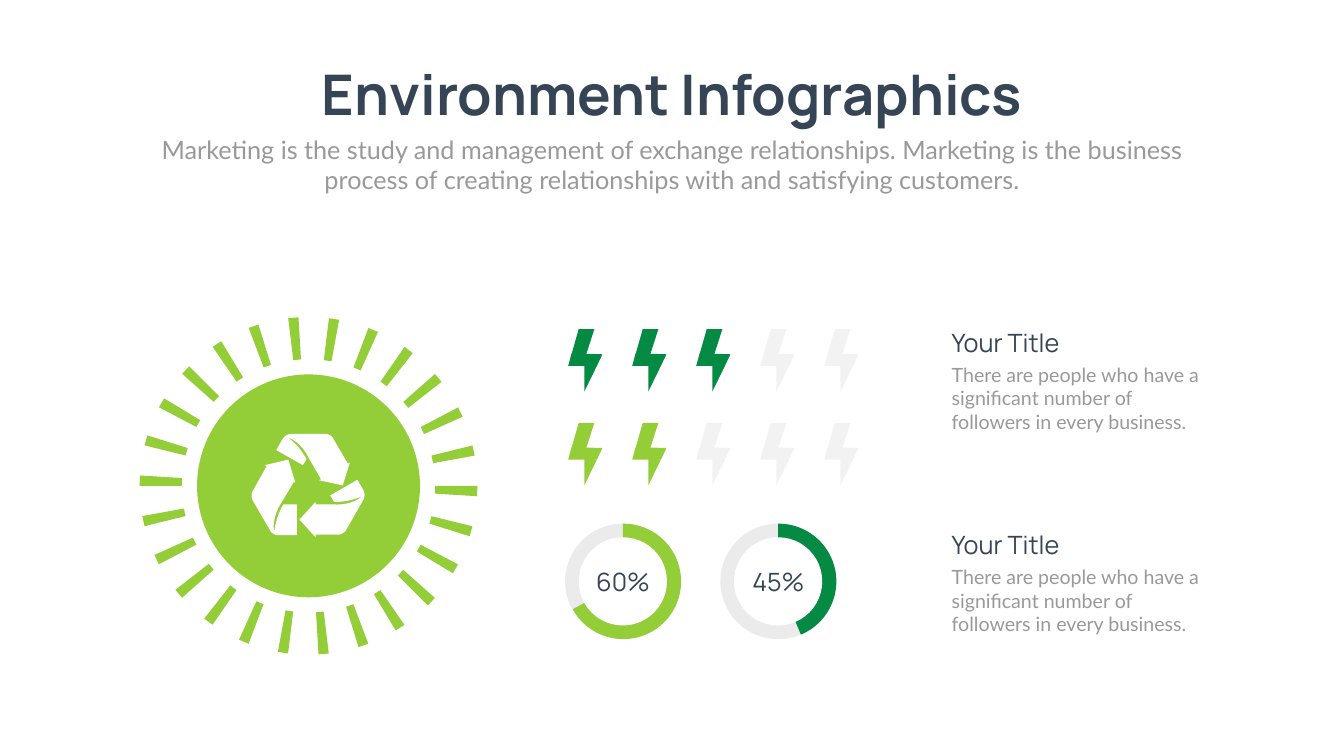
from math import cos, radians, sin

from pptx import Presentation
from pptx.dml.color import RGBColor
from pptx.enum import shapes, text
from pptx.util import Inches, Pt

COLORS = {"lime": "93CE39", "green": "058A43", "navy": "364556", "gray": "999999",
          "track": "EBEBEB", "pale": "F2F2F2", "white": "FFFFFF"}

STYLES = {
    "title": {"name": "Manrope", "size": Pt(80), "bold": True, "color": "navy"},
    "heading": {"name": "Manrope", "size": Pt(36), "bold": False, "color": "navy"},
    "lead": {"name": "Lato", "size": Pt(36), "bold": False, "color": "gray"},
    "body": {"name": "Lato", "size": Pt(28), "bold": False, "color": "gray"},
}

# Recycling arrows: pairs are line ends, sixes are Bezier curves
ARROWS = [
    [(7.21, 9.73), (7.09, 9.52), (6.55, 9.83), (6.63, 9.96),
     (6.83, 9.96, 7.02, 9.92, 7.19, 9.84), (6.99, 10.03, 6.66, 10.01, 6.66, 10.01),
     (6.26, 10.01), (6.26, 9.96), (5.94, 10.31), (6.26, 10.66), (6.26, 10.61), (6.69, 10.61),
     (6.77, 10.61, 6.83, 10.57, 6.87, 10.51), (7.2, 9.93),
     (7.24, 9.87, 7.24, 9.79, 7.21, 9.73)],
    [(6.08, 9.11), (5.99, 8.94, 5.86, 8.79, 5.71, 8.68), (5.97, 8.76, 6.11, 9.06, 6.11, 9.06),
     (6.37, 9.51), (6.33, 9.53), (6.8, 9.63), (6.94, 9.18), (6.9, 9.2), (6.62, 8.72),
     (6.59, 8.65, 6.52, 8.61, 6.45, 8.61), (5.78, 8.61),
     (5.71, 8.61, 5.64, 8.65, 5.6, 8.72), (5.48, 8.93), (6.01, 9.23)],
    [(5.62, 10.01), (5.52, 10.18, 5.46, 10.37, 5.44, 10.56),
     (5.38, 10.29, 5.56, 10.01, 5.56, 10.01), (5.83, 9.56), (5.86, 9.58), (5.72, 9.12),
     (5.25, 9.23), (5.29, 9.25), (5.02, 9.73), (4.98, 9.79, 4.98, 9.87, 5.02, 9.94),
     (5.35, 10.51), (5.38, 10.58, 5.45, 10.62, 5.53, 10.62), (5.89, 10.62), (5.89, 10.01)],
]

# Pieces of one lightning bolt, from its top left corner
BOLT = [
    [(0.34, 0.56), (0.05, 0.56), (0.21, 0), (0.52, 0)],
    [(0.33, 1.22), (0.32, 1.24), (0.32, 0.7), (0.57, 0.73)],
    [(0.57, 0.73), (0, 0.73), (0.07, 0.48), (0.68, 0.5)],
]


def paint(sp, color):
    sp.shadow.inherit = False
    sp.fill.solid()
    sp.fill.fore_color.rgb = RGBColor.from_string(COLORS[color])
    sp.line.fill.background()


def add_preset(parent, kind, box, color):
    sp = parent.shapes.add_shape(kind, *(Inches(v) for v in box))
    paint(sp, color)
    return sp


def add_outline(parent, contours, color):
    """Draw closed contours, given in inches, as one shape."""
    contours = [[(Inches(x), Inches(y)) for x, y in c] for c in contours]
    builder = parent.shapes.build_freeform(*contours[0][0], scale=1)
    builder.add_line_segments(contours[0][1:], close=True)
    for contour in contours[1:]:
        builder.move_to(*contour[0])
        builder.add_line_segments(contour[1:], close=True)
    paint(builder.convert_to_shape(), color)


def flatten(segments, steps=8):
    points = []
    for seg in segments:
        if len(seg) == 2:
            points.append(seg)
            continue
        (x0, y0), (x1, y1, x2, y2, x3, y3) = points[-1], seg
        for i in range(1, steps + 1):
            t = i / steps
            a, b, c, d = (1 - t) ** 3, 3 * t * (1 - t) ** 2, 3 * t * t * (1 - t), t ** 3
            points.append((a * x0 + b * x1 + c * x2 + d * x3,
                           a * y0 + b * y1 + c * y2 + d * y3))
    return points


def set_text(sp, box, words, style, align=text.PP_ALIGN.LEFT):
    sp.left, sp.top, sp.width, sp.height = (Inches(v) for v in box)
    tf = sp.text_frame
    tf.text = words
    tf.word_wrap = True
    tf.auto_size = text.MSO_AUTO_SIZE.NONE
    tf.vertical_anchor = text.MSO_ANCHOR.MIDDLE
    p = tf.paragraphs[0]
    p.alignment = align
    p.space_before = Pt(0)
    font = p.runs[0].font
    for key, value in STYLES[style].items():
        if key == "color":
            font.color.rgb = RGBColor.from_string(COLORS[value])
        else:
            setattr(font, key, value)


def add_text(s, box, *args):
    set_text(s.shapes.add_textbox(0, 0, 0, 0), box, *args)


def add_header(s):
    center = text.PP_ALIGN.CENTER
    set_text(s.shapes.title, (5.7, 1.12, 15.27, 1.45), "Environment Infographics",
             "title", center)
    set_text(s.placeholders[1], (2.92, 2.61, 20.82, 1.31),
             "Marketing is the study and management of exchange relationships. Marketing is "
             "the business process of creating relationships with and satisfying customers.",
             "lead", center)


def add_sun(s, cx, cy, radius):
    disc, inner = radius * 0.66, radius * 0.75
    add_preset(s, shapes.MSO_SHAPE.OVAL, (cx - disc, cy - disc, 2 * disc, 2 * disc), "lime")
    # Evenly turned rays
    count, first, half = 26, 84.85, 1.75
    rays = []
    for i in range(count):
        angle = first + i * 360 / count
        corners = [(inner, -half), (radius, -half), (radius, half), (inner, half)]
        rays.append([(cx + r * cos(radians(angle + turn)), cy + r * sin(radians(angle + turn)))
                     for r, turn in corners])
    add_outline(s, rays, "lime")
    for arrow in ARROWS:
        add_outline(s, [flatten(arrow)], "white")


def add_bolt_row(s, left, top, filled, color, count=5, pitch=1.27):
    for i in range(count):
        group = s.shapes.add_group_shape()
        for piece in BOLT:
            points = [(left + i * pitch + x, top + y) for x, y in piece]
            add_outline(group, [points], color if i < filled else "pale")


def add_gauge(s, left, top, size, end, color, label):
    """Ring filled clockwise from the top to the end angle."""
    group = s.shapes.add_group_shape()
    add_preset(group, shapes.MSO_SHAPE.OVAL, (left, top, size, size), "track")
    pie = add_preset(group, shapes.MSO_SHAPE.PIE, (left + 0.01, top, size, size), color)
    # Adjustments count 0.6 per degree
    pie.adjustments[0], pie.adjustments[1] = 269.5 * 0.6, end * 0.6
    ring = 0.27
    hole = size - 2 * ring
    add_preset(group, shapes.MSO_SHAPE.OVAL, (left + ring, top + ring, hole, hole), "white")
    add_text(s, (left + 0.38, top + 0.79, 1.54, 0.71), label, "heading",
             text.PP_ALIGN.CENTER)


def add_note(s, left, top):
    add_text(s, (left, top, 3.74, 0.71), "Your Title", "heading")
    add_text(s, (left, top + 0.71, 5.11, 1.51),
             "There are people who have a significant number of followers in every business.",
             "body")


def main():
    prs = Presentation()
    prs.slide_width, prs.slide_height = Inches(26.66), Inches(15)
    s = prs.slides.add_slide(prs.slide_layouts[0])
    add_header(s)
    add_sun(s, 6.12, 9.64, 3.35)
    add_bolt_row(s, 11.27, 6.53, 3, "green")
    add_bolt_row(s, 11.27, 8.39, 2, "lime")
    add_gauge(s, 11.21, 10.39, 2.29, 151.2, "lime", "60%")
    add_gauge(s, 14.29, 10.39, 2.29, 67.3, "green", "45%")
    for top in (6.43, 10.45):
        add_note(s, 18.78, top)
    prs.save("out.pptx")


if __name__ == "__main__":
    main()
